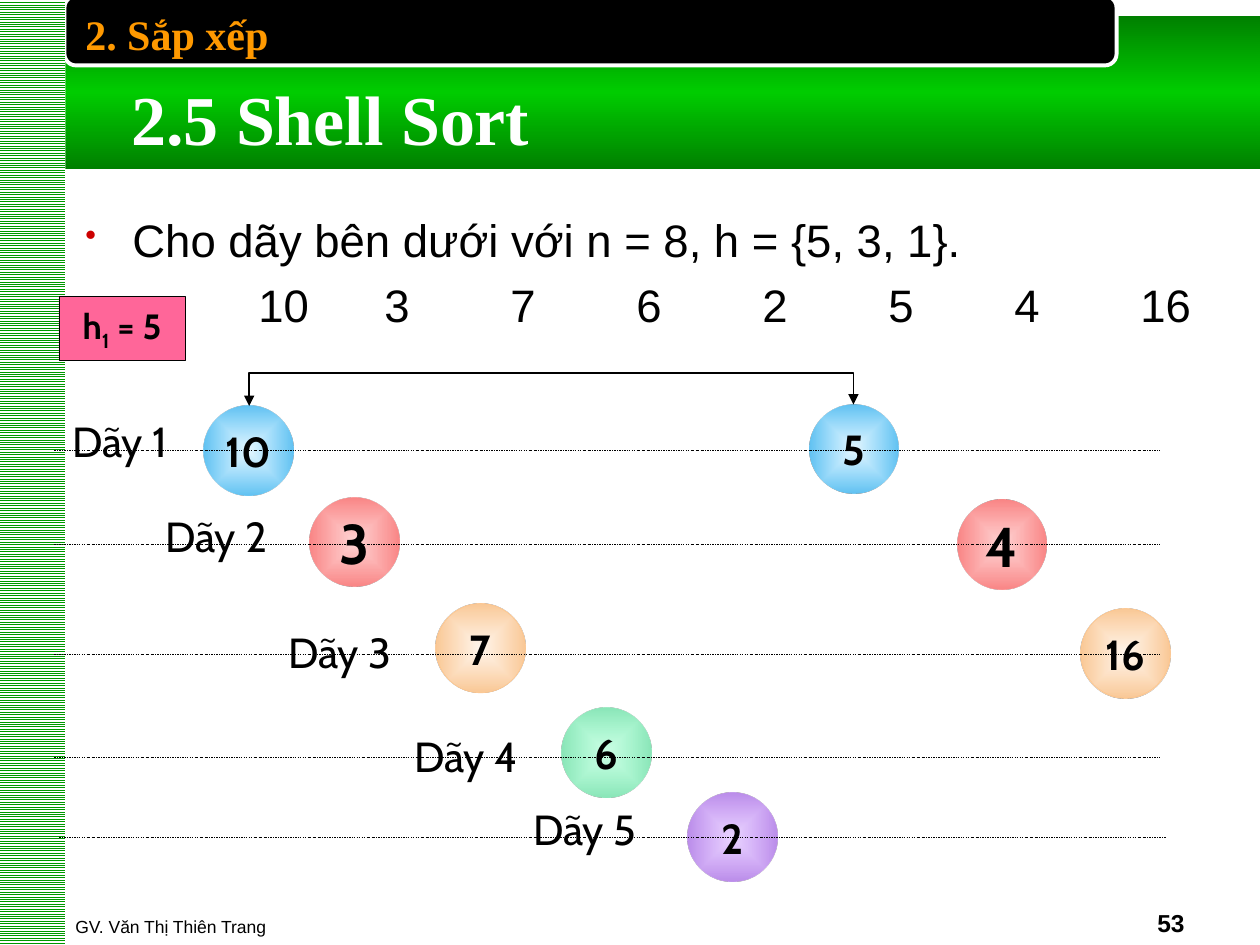
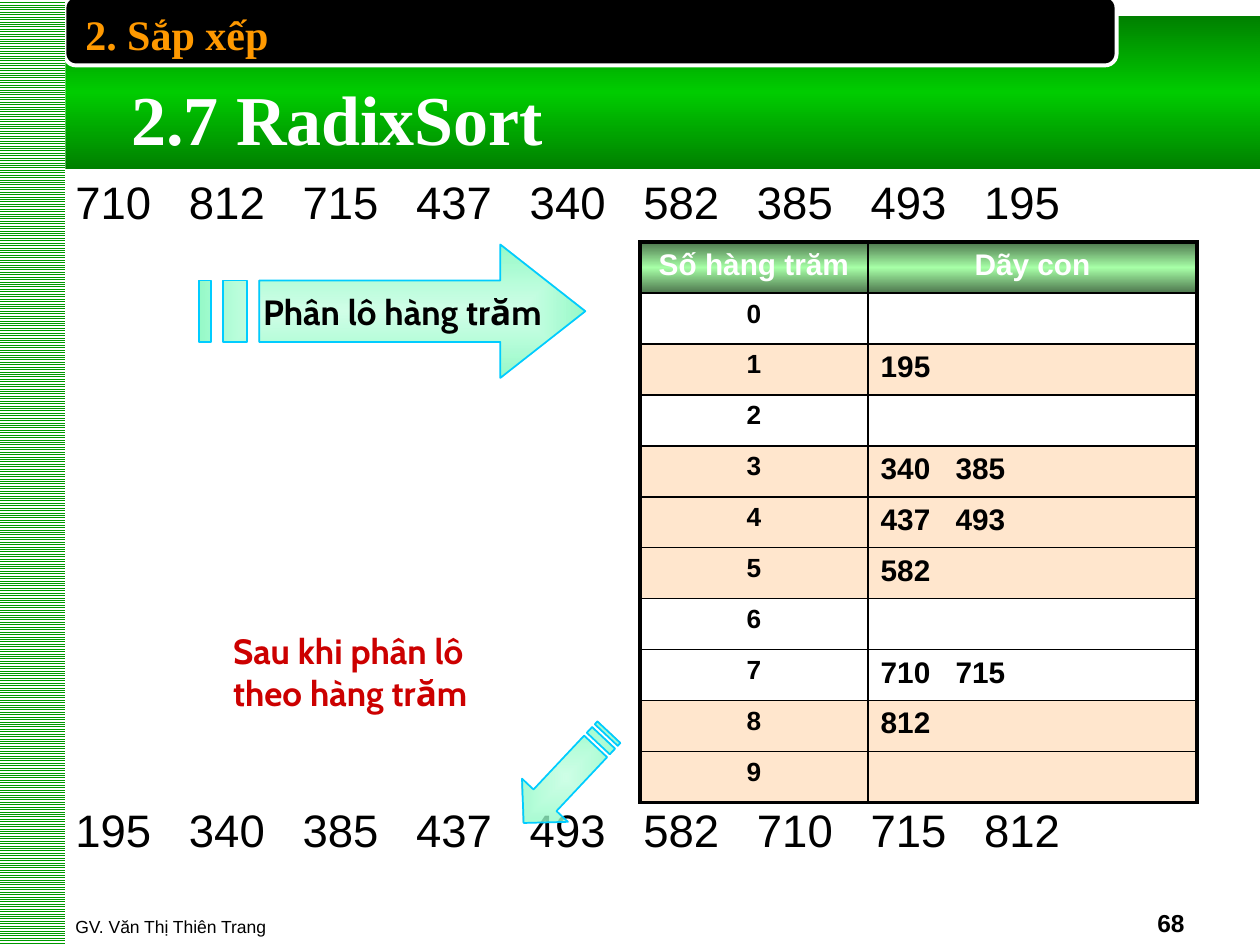
import lxml.etree
import pptx
import pptx.dml.color
import pptx.enum.dml
import pptx.enum.shapes
import pptx.enum.text
import pptx.oxml
import pptx.oxml.ns
import pptx.util

Cm, Pt = pptx.util.Cm, pptx.util.Pt
qn = pptx.oxml.ns.qn
SHAPE = pptx.enum.shapes.MSO_SHAPE
CONNECTOR = pptx.enum.shapes.MSO_CONNECTOR
ALIGN = pptx.enum.text.PP_ALIGN
ANCHOR = pptx.enum.text.MSO_ANCHOR

COLORS = {
    "black": "000000", "white": "FFFFFF", "red": "CC0000", "orange": "FF9900",
    "green": "00CC00", "dark green": "008000", "stripe": "009900",
    "pink": "FF6699", "peach": "FFE6CD", "cyan": "00CCFF",
    "mint": "99FFCC", "mint edge": "96FAC8",
    "head dark": "4D764D", "head light": "A7FFA7",
    "blue ball": "66CCFF", "blue rim": "61C2F2",
    "red ball": "FF8989", "red rim": "FA8686",
    "orange ball": "FFCC99", "orange rim": "FAC896", "orange line": "FFC489",
    "green ball": "99FFCC", "green rim": "8AE6B8",
    "purple ball": "CC99FF", "purple rim": "BB8DEA",
}


def rgb(name):
    return pptx.dml.color.RGBColor.from_string(COLORS[name])


def lengths(*values):
    return [Cm(value) for value in values]


def add_xml(parent, tag, **attributes):
    return lxml.etree.SubElement(parent, qn(tag), attributes)


class Lecture:
    body_font = "Arial"
    label_font = "Cabin"
    title_font = "Times New Roman"

    def __init__(self):
        self.deck = pptx.Presentation()
        self.deck.slide_width, self.deck.slide_height = lengths(25.4, 19.05)
        self.layout = self.deck.slide_layouts[5]
        for holder in list(self.layout.placeholders):
            if holder.placeholder_format.idx != 0:
                holder.element.getparent().remove(holder.element)
        self.page = None

    def add_page(self, title, title_width, number):
        first = self.page is None
        self.page = self.deck.slides.add_slide(self.layout)
        if first:
            self.decorate_layout()
        holder = self.page.shapes.title
        holder.left, holder.top, holder.width, holder.height = lengths(2.39, 1.4, title_width, 1.96)
        self.set_text(holder, [title], 40, self.title_font, "white", True, wrap=False)
        self.text("2. Sắp xếp", (1.47, 0.05, 19.48, 1.27), 24, self.title_font, "orange", True)
        self.text("GV. Văn Thị Thiên Trang", (1.27, 17.75, 15.44, 1.27), 10, anchor=ANCHOR.BOTTOM)
        self.text(number, (18.21, 17.75, 5.92, 1.27), 14, bold=True,
                  align=ALIGN.RIGHT, anchor=ANCHOR.BOTTOM)

    def decorate_layout(self):
        band = self.shape(SHAPE.RECTANGLE, (0, 0.33, 25.43, 3.07))
        self.gradient(band.fill, band.element.spPr,
                      [(0, "dark green"), (50, "green"), (100, "dark green")])
        tab = self.shape(SHAPE.ROUNDED_RECTANGLE, (1.3, -0.08, 21.21, 1.4), "black", "white", 2.25)
        stripe = self.shape(SHAPE.RECTANGLE, (-0.03, 0, 1.35, 19.05))
        stripe.fill.patterned()
        stripe.fill.pattern = pptx.enum.dml.MSO_PATTERN.LIGHT_HORIZONTAL
        stripe.fill.fore_color.rgb = rgb("stripe")
        stripe.fill.back_color.rgb = rgb("white")
        for part in (band, tab, stripe):
            self.layout.shapes.element.append(part.element)

    def gradient(self, fill, properties, stops, shading=None):
        fill.solid()
        result = lxml.etree.Element(qn("a:gradFill"), rotWithShape="1")
        stop_list = add_xml(result, "a:gsLst")
        for position, color, *alpha in stops:
            stop = add_xml(stop_list, "a:gs", pos=str(position * 1000))
            tone = add_xml(stop, "a:srgbClr", val=COLORS[color])
            for value in alpha:
                add_xml(tone, "a:alpha", val=str(value * 1000))
        if shading:
            center = add_xml(result, "a:path", path=shading)
            add_xml(center, "a:fillToRect", **dict.fromkeys("ltrb", "50000"))
        else:
            add_xml(result, "a:lin", ang="5400000", scaled="1")
        properties.replace(properties.find(qn("a:solidFill")), result)

    def outline(self, shape, color, width):
        shape.shadow.inherit = False
        if color:
            shape.line.color.rgb = rgb(color)
            shape.line.width = Pt(width)
        else:
            shape.line.fill.background()

    def shape(self, kind, place, fill=None, line=None, width=0.25):
        shape = self.page.shapes.add_shape(kind, *lengths(*place))
        self.outline(shape, line, width)
        if fill:
            shape.fill.solid()
            shape.fill.fore_color.rgb = rgb(fill)
        return shape

    def style(self, para, size, font=body_font, color="black", bold=False, align=ALIGN.LEFT, tabs=()):
        para.alignment = align
        if tabs:
            stops = add_xml(para._p.get_or_add_pPr(), "a:tabLst")
            for stop in tabs:
                add_xml(stops, "a:tab", pos=str(Cm(stop)), algn="l")
        para.font.size = Pt(size)
        para.font.name = font
        para.font.bold = bold
        para.font.color.rgb = rgb(color)

    def set_text(self, shape, lines, size, font=body_font, color="black", bold=False,
                 align=ALIGN.LEFT, anchor=ANCHOR.TOP, wrap=True, tabs=()):
        frame = shape.text_frame
        frame.word_wrap = wrap
        frame.vertical_anchor = anchor
        frame.text = "\n".join(lines)
        for para in frame.paragraphs:
            self.style(para, size, font, color, bold, align, tabs)

    def text(self, words, place, size, *style, **options):
        box = self.page.shapes.add_textbox(*lengths(*place))
        self.set_text(box, words.split("\n"), size, *style, **options)

    def label(self, shape, words, size):
        self.set_text(shape, [words], size, self.label_font, bold=True,
                      align=ALIGN.CENTER, anchor=ANCHOR.MIDDLE, wrap=False)

    def number_row(self, numbers, top):
        tabs = [round(2.29 * step, 2) for step in range(1, len(numbers))]
        self.text("\t".join(numbers), (1.27, top, 22.86, 1.4), 26, tabs=tabs)

    def bullet(self, para):
        properties = para._p.get_or_add_pPr()
        properties.set("marL", str(Cm(0.95)))
        properties.set("indent", str(-Cm(0.95)))
        add_xml(add_xml(properties, "a:buClr"), "a:srgbClr", val=COLORS["red"])
        add_xml(properties, "a:buSzPct", val="70000")
        add_xml(properties, "a:buChar", char="•")

    def ball(self, number, left, top, hue, alpha, size):
        ball = self.shape(SHAPE.OVAL, (left, top, 1.8, 1.8),
                          line="orange line" if hue == "orange" else None)
        self.gradient(ball.fill, ball.element.spPr,
                      [(0, f"{hue} ball", alpha), (100, f"{hue} rim")], "shape")
        self.label(ball, number, size)

    def connector(self, kind, ends, width):
        line = self.page.shapes.add_connector(kind, *lengths(*ends))
        line.line.color.rgb = rgb("black")
        line.line.width = Pt(width)
        add_xml(line.element.spPr, "a:effectLst")
        return line

    def guide(self, left, right, height):
        line = self.connector(CONNECTOR.STRAIGHT, (left, height, right, height), 0.25)
        line.line.dash_style = pptx.enum.dml.MSO_LINE.DASH_DOT

    def swap_link(self, ends, bend):
        link = self.connector(CONNECTOR.ELBOW, ends, 1)
        properties = link.element.spPr
        properties.find(qn("a:xfrm")).set("rot", str(270 * 60000))
        adjust = properties.find(qn("a:prstGeom")).find(qn("a:avLst"))
        add_xml(adjust, "a:gd", name="adj1", fmla=f"val {bend * 100000}")
        stroke = properties.find(qn("a:ln"))
        for end in ("a:headEnd", "a:tailEnd"):
            add_xml(stroke, end, type="triangle")

    def striped_arrow(self, place, head, edge, alpha, rotation=0):
        left, top, width, height = lengths(*place)

        def point(across, down):
            return left + across * width, top + down * height

        def bar(start, stop):
            return [(start, edge), (start, 1 - edge), (stop, 1 - edge), (stop, edge)]

        arrow = [(head, 0), (head, edge), (5 / 32, edge), (5 / 32, 1 - edge),
                 (head, 1 - edge), (head, 1), (1, 0.5)]
        builder = self.page.shapes.build_freeform(*point(*arrow[0]), scale=1.0)
        for contour in (arrow, bar(1 / 16, 1 / 8), bar(0, 1 / 32)):
            if contour is not arrow:
                builder.move_to(*point(*contour[0]))
            builder.add_line_segments([point(*spot) for spot in contour[1:]], close=True)
        shape = builder.convert_to_shape()
        shape.rotation = rotation
        self.outline(shape, "cyan", 1)
        self.gradient(shape.fill, shape.element.spPr,
                      [(0, "mint", alpha), (100, "mint edge")], "rect")
        return shape

    def borders(self, cell, heavy):
        properties = cell._tc.get_or_add_tcPr()
        for side in "LRTB":
            width = Pt(2.25 if side in heavy else 1)
            line = add_xml(properties, f"a:ln{side}", w=str(width))
            add_xml(add_xml(line, "a:solidFill"), "a:srgbClr", val=COLORS["black"])

    def bucket_table(self, header, buckets, shaded, place, columns):
        rows = [header] + [(str(digit), words) for digit, words in enumerate(buckets)]
        table = self.page.shapes.add_table(len(rows), len(columns), *lengths(*place)).table
        for column, width in zip(table.columns, columns):
            column.width = Cm(width)
        for index, row in enumerate(rows):
            table.rows[index].height = Cm(place[3] / len(rows))
            for side, words in enumerate(row):
                cell = table.cell(index, side)
                heavy = "LR"[side] + ("T" if index == 0 else "") + ("B" if index == len(rows) - 1 else "")
                self.borders(cell, heavy)
                cell.text = words
                para = cell.text_frame.paragraphs[0]
                if index == 0:
                    self.gradient(cell.fill, cell._tc.tcPr,
                                  [(0, "head dark"), (50, "head light"), (100, "head dark")])
                    self.style(para, 17, color="white", bold=True, align=ALIGN.CENTER)
                    continue
                cell.fill.solid()
                cell.fill.fore_color.rgb = rgb("peach" if index - 1 in shaded else "white")
                if side == 0:
                    self.style(para, 15, bold=True, align=ALIGN.CENTER)
                else:
                    self.style(para, 17, bold=True, tabs=[1.51] if "\t" in words else ())


def shell_sort_page(lecture):
    lecture.add_page("2.5 Shell Sort", 8.56, "53")
    body = lecture.page.shapes.add_textbox(*lengths(1.47, 4.14, 22.86, 3))
    body.text_frame.word_wrap = True
    intro = body.text_frame.paragraphs[0]
    intro.text = "Cho dãy bên dưới với n = 8, h = {5, 3, 1}."
    lecture.bullet(intro)
    lecture.style(intro, 26)
    sequence = body.text_frame.add_paragraph()
    numbers = ["10", "3", "7", "6", "2", "5", "4", "16"]
    sequence.text = "\t" + "\t".join(numbers)
    sequence.space_before = Pt(6)
    lecture.style(sequence, 26, tabs=[round(3.49 + 2.54 * step, 2) for step in range(len(numbers))])

    groups = [
        ("blue", 17, 24, [("10", 4.11, 8.18), ("5", 16.31, 8.15)]),
        ("red", 35, 32, [("3", 6.25, 10.03), ("4", 19.3, 10.08)]),
        ("orange", 17, 24, [("7", 8.79, 12.17), ("16", 21.79, 12.27)]),
        ("green", 51, 24, [("6", 11.33, 14.27)]),
        ("purple", 42, 24, [("2", 13.87, 15.98)]),
    ]
    for hue, alpha, size, balls in groups:
        for number, left, top in balls:
            lecture.ball(number, left, top, hue, alpha, size)
    for height in (9.07, 10.97, 13.18, 15.27):
        lecture.guide(1.09, 23.39, height)
    lecture.guide(1.19, 23.5, 16.87)
    captions = [(1.07, 8.26), (3.02, 10.16), (5.51, 12.5), (8.05, 14.6), (10.44, 16.08)]
    for order, (left, top) in enumerate(captions, 1):
        lecture.text(f"Dãy {order}", (left, top, 2.69, 1.27), 24, lecture.label_font,
                     align=ALIGN.CENTER, wrap=False)

    step = lecture.shape(SHAPE.RECTANGLE, (1.19, 5.97, 2.54, 1.3), "pink", "black")
    lecture.label(step, "h", 20)
    para = step.text_frame.paragraphs[0]
    subscript = para.add_run()
    subscript.text = "1"
    subscript._r.get_or_add_rPr().set("baseline", "-25000")
    para.add_run().text = " = 5"
    lecture.swap_link((11.1, 2.08, 11.13, 14.26), 22)


def radix_sort_page(lecture):
    lecture.add_page("2.7 RadixSort", 8.81, "68")
    lecture.number_row(["710", "812", "715", "437", "340", "582", "385", "493", "195"], 3.38)
    lecture.number_row(["195", "340", "385", "437", "493", "582", "710", "715", "812"], 16.04)
    split = lecture.striped_arrow((4.01, 4.93, 7.79, 2.69), 0.78, 0.27, 44)
    lecture.label(split, "Phân lô hàng trăm", 20)
    split.text_frame.margin_left = Cm(0.67)
    lecture.striped_arrow((10.16, 15.04, 2.51, 1.27), 0.75, 0.25, 47, 133.2)
    buckets = ["", "195", "", "340\t385", "437\t493", "582", "", "710\t715", "812", ""]
    lecture.bucket_table(("Số hàng trăm", "Dãy con"), buckets, {1, 3, 4, 5, 8, 9},
                         (12.9, 4.88, 11.23, 11.3), (4.6, 6.63))
    lecture.text("Sau khi phân lô\ntheo hàng trăm", (4.45, 12.57, 6.78, 1.96), 20,
                 lecture.label_font, "red", True)


def main():
    lecture = Lecture()
    shell_sort_page(lecture)
    radix_sort_page(lecture)
    lecture.deck.save("out.pptx")


if __name__ == "__main__":
    main()
